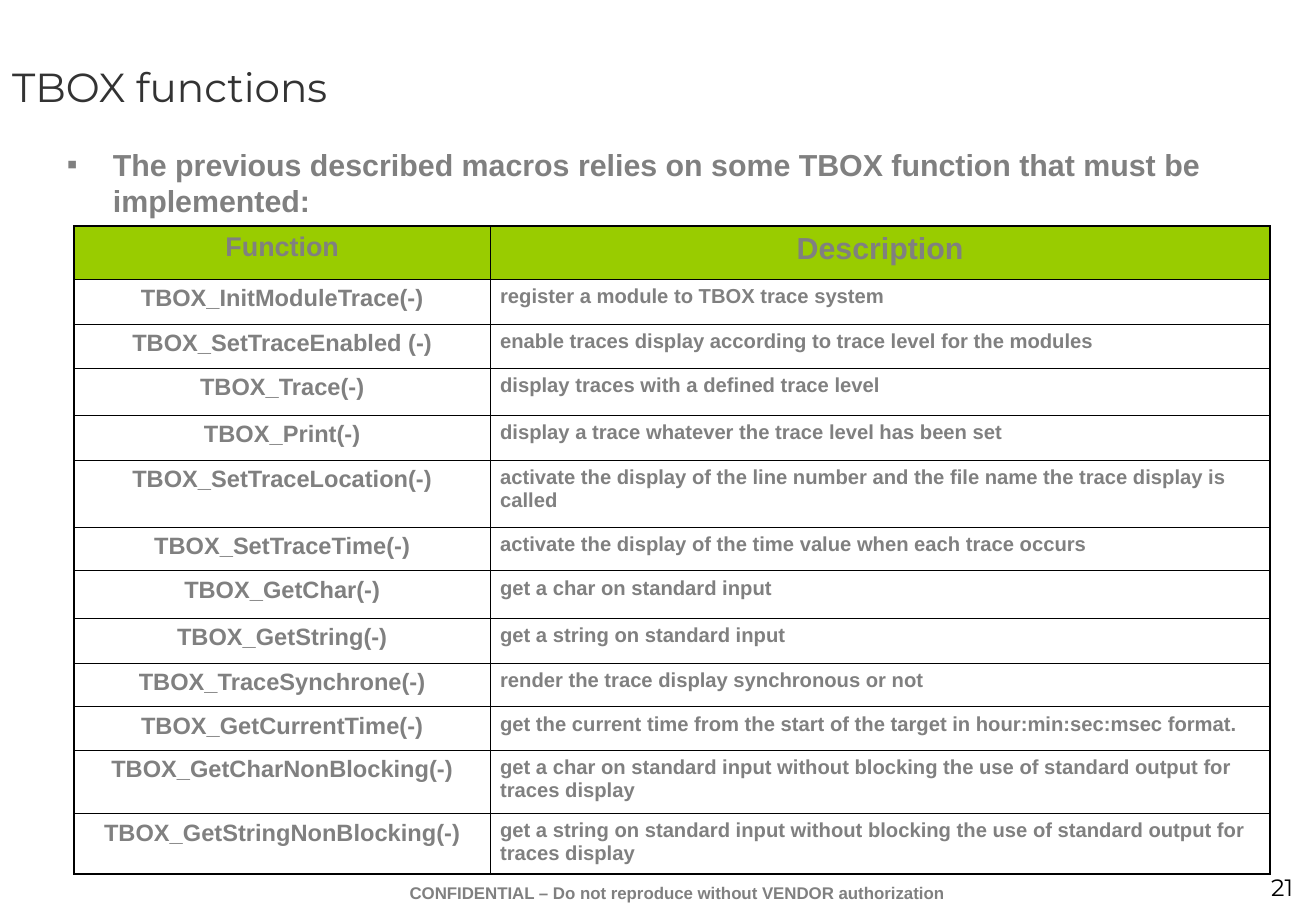
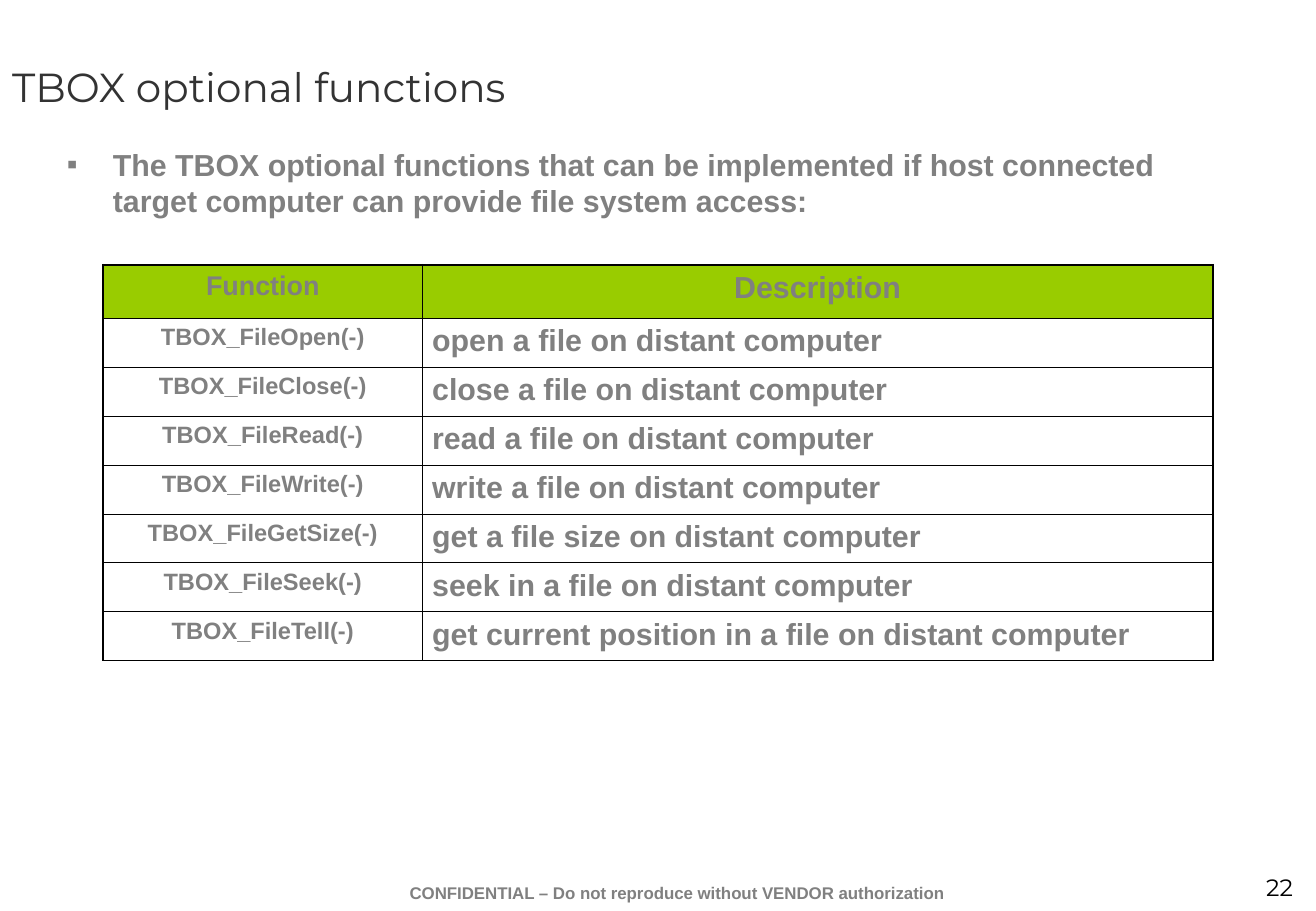
from lxml.etree import SubElement
from pptx import Presentation
from pptx.dml.color import RGBColor
from pptx.enum.text import MSO_ANCHOR as Anchor, MSO_AUTO_SIZE as AutoSize, PP_ALIGN as Align
from pptx.oxml.ns import qn
from pptx.util import Inches, Pt

COLORS = {"title": "333333", "text": "808080", "number": "000000",
          "line": "000000", "header": "99CC00", "cell": "FFFFFF"}
TITLE_BOX = (0, 0, 10.83, 1.42)
BODY_BOX = (0.45, 1.15, 9.77, 4.95)
FOOTER_BOX = (2.66, 7.22, 5.83, 0.28)
NUMBER_BOX = (9.59, 7.14, 1.16, 0.33)
FOOTER = "CONFIDENTIAL – Do not reproduce without VENDOR authorization"
THIN, THICK = 0.45, 1.08
HEADER_HEIGHT = 0.44

TRACE_FUNCTIONS = [
    ("TBOX_InitModuleTrace(-)", "register a module to TBOX trace system"),
    ("TBOX_SetTraceEnabled (-)", "enable traces display according to trace level for the modules"),
    ("TBOX_Trace(-)", "display traces with a defined trace level"),
    ("TBOX_Print(-)", "display a trace whatever the trace level has been set"),
    ("TBOX_SetTraceLocation(-)",
     "activate the display of the line number and the file name the trace display is called"),
    ("TBOX_SetTraceTime(-)", "activate the display of the time value when each trace occurs"),
    ("TBOX_GetChar(-)", "get a char on standard input"),
    ("TBOX_GetString(-)", "get a string on standard input"),
    ("TBOX_TraceSynchrone(-)", "render the trace display synchronous or not"),
    ("TBOX_GetCurrentTime(-)",
     "get the current time from the start of the target in hour:min:sec:msec format."),
    ("TBOX_GetCharNonBlocking(-)",
     "get a char on standard input without blocking the use of standard output for traces display"),
    ("TBOX_GetStringNonBlocking(-)",
     "get a string on standard input without blocking the use of standard output for traces display"),
]
TRACE_HEIGHTS = [0.37, 0.36, 0.39, 0.37, 0.55, 0.36, 0.39, 0.37, 0.36, 0.36, 0.52, 0.5]
FILE_FUNCTIONS = [
    ("TBOX_FileOpen(-)", "open a file on distant computer"),
    ("TBOX_FileClose(-)", "close a file on distant computer"),
    ("TBOX_FileRead(-)", "read a file on distant computer"),
    ("TBOX_FileWrite(-)", "write a file on distant computer"),
    ("TBOX_FileGetSize(-)", "get a file size on distant computer"),
    ("TBOX_FileSeek(-)", "seek in a file on distant computer"),
    ("TBOX_FileTell(-)", "get current position in a file on distant computer"),
]
FILE_TABLE_HEIGHT = 3.26
FILE_HEIGHTS = [(FILE_TABLE_HEIGHT - HEADER_HEIGHT) / len(FILE_FUNCTIONS)] * len(FILE_FUNCTIONS)


def write_text(frame, text, size, font="Arial", color="text", bold=True, align=Align.LEFT):
    """Write one formatted paragraph into a text frame and return it."""
    frame.word_wrap = True
    para = frame.paragraphs[0]
    para.alignment = align
    para.space_before = Pt(0)
    span = para.add_run()
    span.text = text
    span.font.size = Pt(size)
    span.font.name = font
    span.font.bold = bold
    span.font.color.rgb = RGBColor.from_string(COLORS[color])
    return para


def place(shape, box):
    """Move a placeholder to a box and keep its text at full size."""
    shape.left, shape.top, shape.width, shape.height = map(Inches, box)
    shape.text_frame.auto_size = AutoSize.NONE


def add_bullet(para):
    """Give a paragraph a hanging square bullet."""
    properties = para._p.get_or_add_pPr()
    properties.set("marL", str(Inches(0.38)))
    properties.set("indent", str(-Inches(0.38)))
    color = SubElement(properties, qn("a:buClr"))
    SubElement(color, qn("a:srgbClr"), val=COLORS["text"])
    SubElement(properties, qn("a:buFont"), typeface="Arial")
    SubElement(properties, qn("a:buChar"), char="▪")


def add_title(page, text, box):
    """Fill the title placeholder."""
    place(page.shapes.title, box)
    frame = page.shapes.title.text_frame
    frame.vertical_anchor = Anchor.MIDDLE
    write_text(frame, text, 24, font="Montserrat", color="title", bold=False)


def add_body(page, text, box):
    """Fill the body placeholder with one bullet."""
    body = page.placeholders[1]
    place(body, box)
    add_bullet(write_text(body.text_frame, text, 18))


def add_label(page, text, box, size, **style):
    """Add a text box with one line of text."""
    label = page.shapes.add_textbox(*map(Inches, box))
    write_text(label.text_frame, text, size, **style)


def set_borders(cell, widths):
    """Draw the four sides of a cell, with widths in points by side."""
    properties = cell._tc.get_or_add_tcPr()
    for side in ("L", "R", "T", "B"):
        line = SubElement(properties, qn(f"a:ln{side}"), w=str(Pt(widths[side])))
        fill = SubElement(line, qn("a:solidFill"))
        SubElement(fill, qn("a:srgbClr"), val=COLORS["line"])


def add_function_table(page, functions, corner, widths, heights, description_size):
    """Add a two-column table of functions with a coloured header row."""
    rows = [("Function", "Description")] + functions
    heights = [HEADER_HEIGHT] + heights
    box = (*corner, sum(widths), sum(heights))
    table = page.shapes.add_table(len(rows), 2, *map(Inches, box)).table
    table.first_row = table.horz_banding = False
    for column, width in zip(table.columns, widths):
        column.width = Inches(width)
    for index, (row, height) in enumerate(zip(table.rows, heights)):
        row.height = Inches(height)
        header = index == 0
        sizes = (16, 18) if header else (14, description_size)
        for position, cell in enumerate(row.cells):
            described = position == 1 and not header
            set_borders(cell, {
                "L": THICK if position == 0 else THIN,
                "R": THICK if position == 1 else THIN,
                "T": THICK if header else THIN,
                "B": THICK if index == len(rows) - 1 else THIN})
            cell.fill.solid()
            cell.fill.fore_color.rgb = RGBColor.from_string(COLORS["header" if header else "cell"])
            cell.margin_left = Inches(0.08 if described else 0.1)
            write_text(cell.text_frame, rows[index][position], sizes[position],
                       align=Align.LEFT if described else Align.CENTER)


def add_function_page(deck, number, title, lead, **table):
    """Add a slide with title, lead bullet, function table and footer."""
    page = deck.slides.add_slide(deck.slide_layouts[1])
    add_title(page, title, TITLE_BOX)
    add_body(page, lead, BODY_BOX)
    add_label(page, FOOTER, FOOTER_BOX, 10, align=Align.CENTER)
    add_label(page, str(number), NUMBER_BOX, 14, font="Montserrat", color="number",
              bold=False, align=Align.RIGHT)
    add_function_table(page, **table)


def main():
    """Build and save the deck."""
    deck = Presentation()
    deck.slide_width, deck.slide_height = Inches(10.84), Inches(7.5)
    add_function_page(
        deck, 21, "TBOX functions",
        "The previous described macros relies on some TBOX function that must be implemented:",
        functions=TRACE_FUNCTIONS, corner=(0.61, 1.86), widths=(3.43, 6.42),
        heights=TRACE_HEIGHTS, description_size=12)
    add_function_page(
        deck, 22, "TBOX optional functions",
        "The TBOX optional functions that can be implemented if host connected target computer "
        "can provide file system access:",
        functions=FILE_FUNCTIONS, corner=(0.85, 2.18), widths=(2.63, 6.51),
        heights=FILE_HEIGHTS, description_size=18)
    deck.save("out.pptx")


if __name__ == "__main__":
    main()
